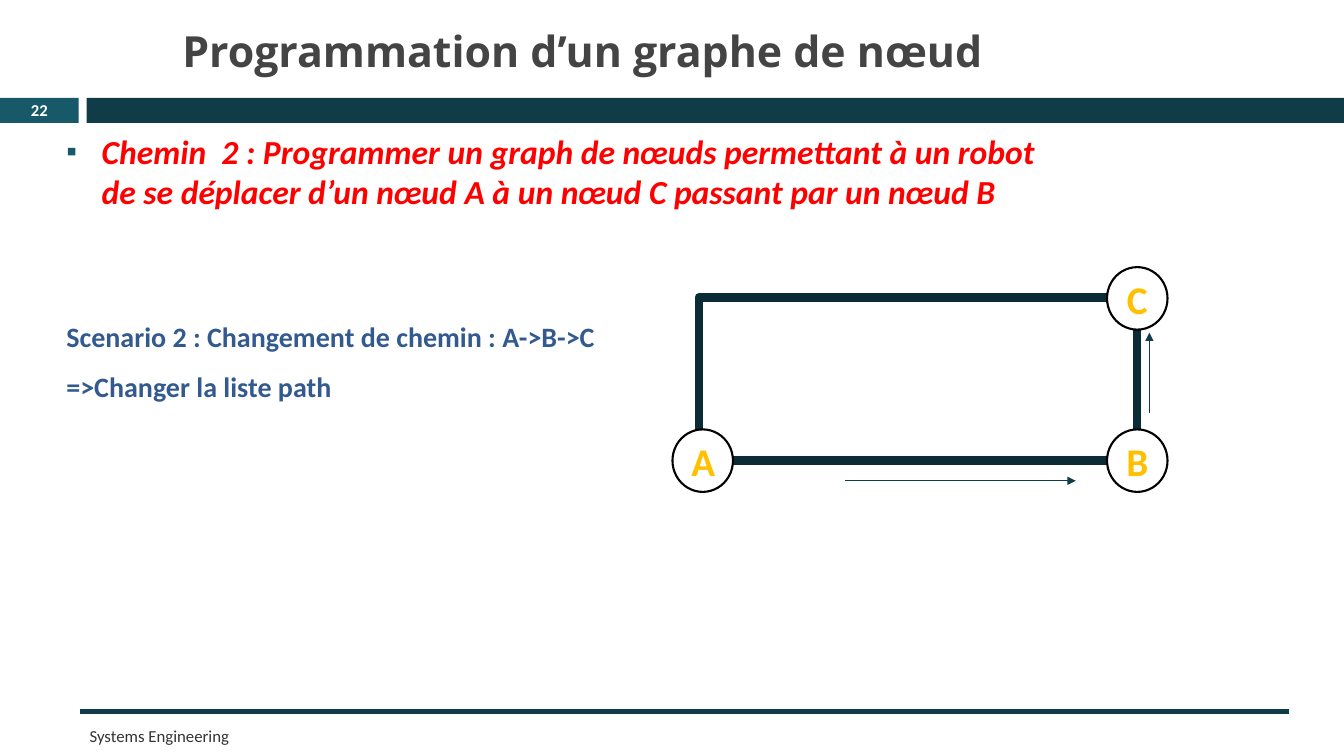
"""Build the slide on programming a node graph."""
from dataclasses import dataclass

from lxml import etree
from pptx import Presentation
from pptx import util as u
from pptx.dml.color import RGBColor
from pptx.enum import shapes, text
from pptx.oxml import ns

WHITE = RGBColor(0xFF, 0xFF, 0xFF)
BLACK = RGBColor(0x00, 0x00, 0x00)
TEAL = RGBColor(0x17, 0x59, 0x69)
DARK_TEAL = RGBColor(0x10, 0x3C, 0x47)
PATH_TEAL = RGBColor(0x0C, 0x2C, 0x35)
FOOTER_GREY = RGBColor(0x34, 0x34, 0x34)
TITLE_GREY = RGBColor(0x44, 0x44, 0x44)
RED = RGBColor(0xFF, 0x00, 0x00)
GOLD = RGBColor(0xFF, 0xC0, 0x00)
BLUE = RGBColor(0x33, 0x5A, 0x8F)

LEFT, RIGHT, TOP, BOTTOM = 6.97, 11.28, 2.96, 4.57
NODE_W, NODE_H = 0.6, 0.62


@dataclass
class Box:
    left: float
    top: float
    width: float
    height: float

    def lengths(self) -> list:
        return [u.Inches(v) for v in (self.left, self.top, self.width, self.height)]


@dataclass
class Node:
    name: str
    x: float
    y: float


@dataclass
class Line:
    start: tuple[float, float]
    end: tuple[float, float]
    weight: float
    arrow: bool = False


NODES = [Node("A", LEFT, BOTTOM), Node("C", RIGHT, TOP), Node("B", RIGHT, BOTTOM)]
BARS = [(Box(0, 0.97, 0.78, 0.25), TEAL), (Box(0.86, 0.97, 12.47, 0.25), DARK_TEAL)]
LINES = [
    Line((0.79, 7.06), (12.78, 7.06), 4),
    Line((8.38, 4.77), (10.67, 4.77), 0.79, True),
    Line((11.4, 4.1), (11.4, 3.3), 0.79, True),
]


def write(sp, *lines: str, size: float, color: RGBColor, font: str = "Calibri",
          bold: bool = True, italic: bool = False, align=text.PP_ALIGN.LEFT,
          anchor=text.MSO_ANCHOR.MIDDLE, spacing: float = 1.0, bullet: str = ""):
    """Fill a shape with one formatted paragraph per line of text."""
    tf = sp.text_frame
    tf.word_wrap = True
    tf.vertical_anchor = anchor
    for i, line in enumerate(lines):
        p = tf.paragraphs[0] if i == 0 else tf.add_paragraph()
        p.alignment = align
        p.line_spacing = spacing
        if bullet:
            add_bullet(p, bullet)
        r = p.add_run()
        r.text = line
        r.font.name, r.font.size = font, u.Pt(size)
        r.font.bold, r.font.italic = bold, italic
        r.font.color.rgb = color


def add_bullet(p, char: str):
    """Give a paragraph a hanging teal bullet."""
    pPr = p._p.get_or_add_pPr()
    pPr.set("marL", str(u.Inches(0.35)))
    pPr.set("indent", str(-u.Inches(0.35)))
    clr = etree.SubElement(pPr, ns.qn("a:buClr"))
    etree.SubElement(clr, ns.qn("a:srgbClr"), val=str(TEAL))
    etree.SubElement(pPr, ns.qn("a:buSzPct"), val="90000")
    etree.SubElement(pPr, ns.qn("a:buFont"), typeface="Arial")
    etree.SubElement(pPr, ns.qn("a:buChar"), char=char)


def add_text(s, box: Box, *lines: str, **fmt):
    """Add a text box with formatted text."""
    write(s.shapes.add_textbox(*box.lengths()), *lines, **fmt)


def add_shape(s, kind, box: Box, fill: RGBColor | None = None,
              line: RGBColor | None = None, weight: float = 1):
    """Add a preset shape without shadow."""
    sp = s.shapes.add_shape(kind, *box.lengths())
    sp.shadow.inherit = False
    if fill is None:
        sp.fill.background()
    else:
        sp.fill.solid()
        sp.fill.fore_color.rgb = fill
    if line is None:
        sp.line.fill.background()
    else:
        sp.line.color.rgb = line
        sp.line.width = u.Pt(weight)
    return sp


def add_line(s, line: Line):
    """Add a straight line, with an arrowhead if asked for."""
    ends = [u.Inches(v) for v in (*line.start, *line.end)]
    sp = s.shapes.add_connector(shapes.MSO_CONNECTOR.STRAIGHT, *ends)
    sp.line.color.rgb = DARK_TEAL
    sp.line.width = u.Pt(line.weight)
    if line.arrow:
        etree.SubElement(sp.line._get_or_add_ln(), ns.qn("a:tailEnd"), type="triangle")
    etree.SubElement(sp._element.spPr, ns.qn("a:effectLst"))


def add_node(s, node: Node):
    """Add a lettered circle centred on its node."""
    box = Box(node.x - NODE_W / 2, node.y - NODE_H / 2, NODE_W, NODE_H)
    sp = add_shape(s, shapes.MSO_SHAPE.OVAL, box, WHITE, BLACK, 1.5)
    write(sp, node.name, size=28, color=GOLD, align=text.PP_ALIGN.CENTER)


def main():
    """Draw the slide and save it."""
    prs = Presentation()
    prs.slide_width, prs.slide_height = u.Inches(13.33), u.Inches(7.5)
    s = prs.slides.add_slide(prs.slide_layouts[6])
    for box, color in BARS:
        add_shape(s, shapes.MSO_SHAPE.RECTANGLE, box, color)
    add_text(s, Box(0, 0.96, 0.78, 0.27), "22", size=11.9, color=WHITE,
             align=text.PP_ALIGN.CENTER)
    add_text(s, Box(0.79, 7.14, 7.56, 0.31), "Systems Engineering", size=12,
             color=FOOTER_GREY, bold=False)
    add_text(s, Box(1.71, 0.14, 8.14, 0.71), "Programmation d’un graphe de nœud",
             size=30.6, color=TITLE_GREY, font="Open Sans")
    add_text(s, Box(0.56, 1.25, 10.18, 0.91),
             "Chemin  2 : Programmer un graph de nœuds permettant à un robot "
             "de se déplacer d’un nœud A à un nœud C passant par un nœud B",
             size=24, color=RED, italic=True, anchor=text.MSO_ANCHOR.TOP, bullet="▪")
    add_shape(s, shapes.MSO_SHAPE.RECTANGLE, Box(6.93, 2.95, 4.35, 1.62),
              line=PATH_TEAL, weight=6)
    for node in NODES:
        add_node(s, node)
    for line in LINES:
        add_line(s, line)
    add_text(s, Box(0.56, 2.95, 6.67, 1.06),
             "Scenario 2 : Changement de chemin : A->B->C", "=>Changer la liste path",
             size=20, color=BLUE, align=text.PP_ALIGN.JUSTIFY,
             anchor=text.MSO_ANCHOR.TOP, spacing=1.5)
    prs.save("out.pptx")


if __name__ == "__main__":
    main()
